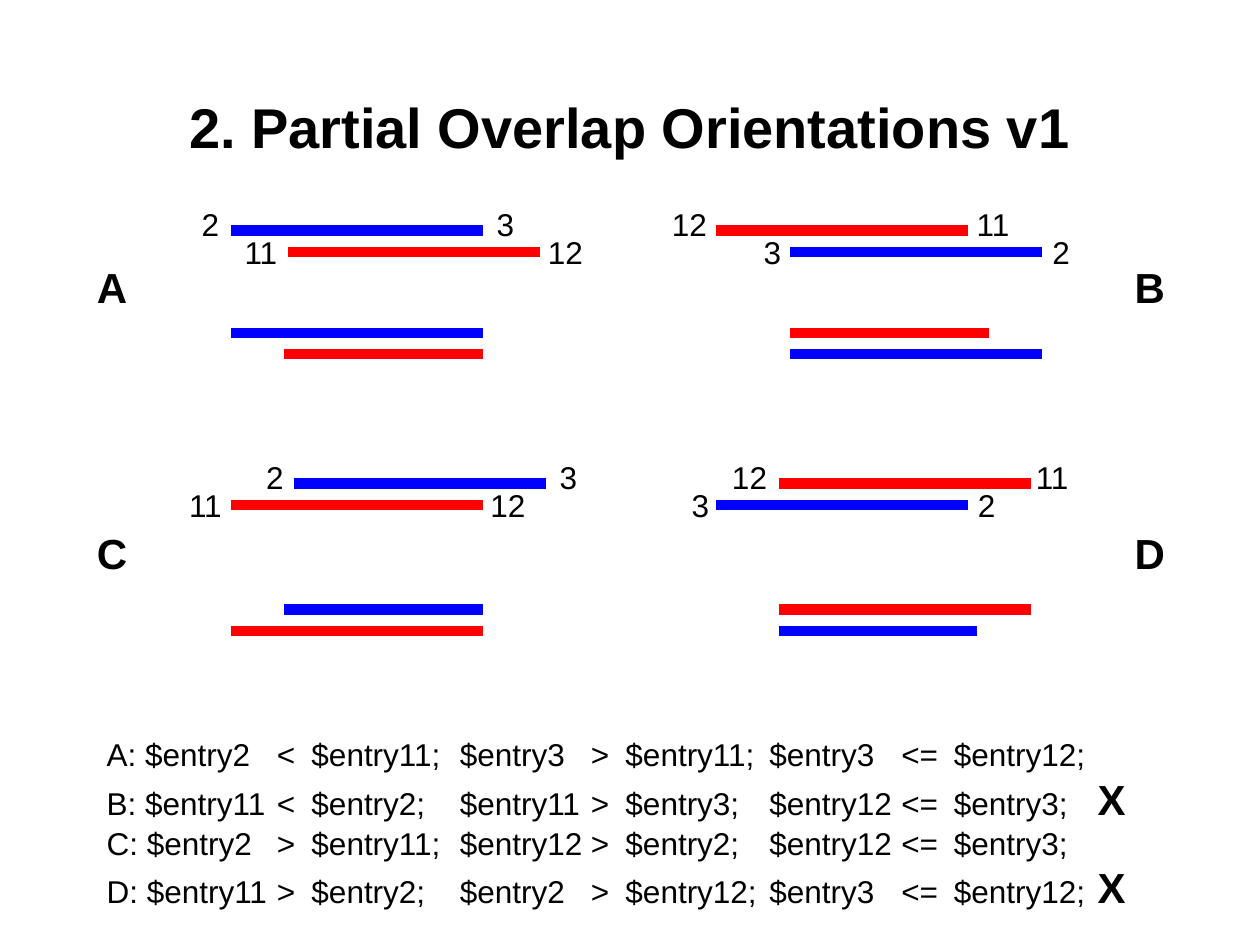
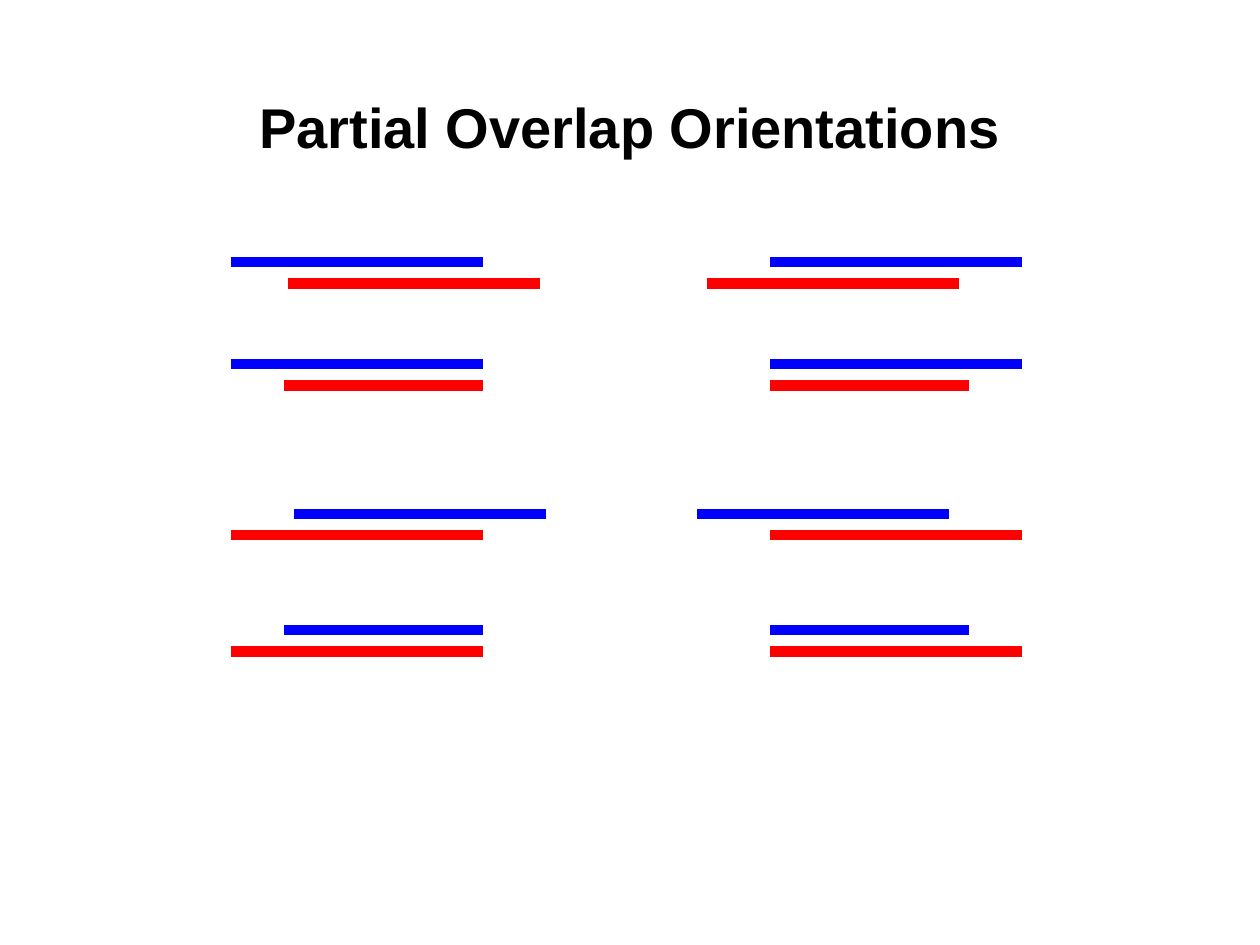
from dataclasses import dataclass

import pptx
import pptx.dml.color
import pptx.enum.shapes
import pptx.enum.text
import pptx.oxml
import pptx.oxml.ns
import pptx.util
from pptx.util import Cm, Pt


@dataclass(frozen=True)
class Theme:
    font: str = "Arial"
    text: str = "000000"
    blue: str = "0000FF"
    red: str = "FF0000"
    title: int = 32
    letter: int = 24
    body: int = 18
    bar: int = 6


T = Theme()
LONG, SHORT = 5.08, 4.0
ROW_GAP = 0.43
LABEL_SHIFTS = (-0.13, 0)
MARK = "X"

# Panel bars run top to bottom: colour, left, length, then (label, centre) pairs.
VERSION_1 = {
    "title": "2. Partial Overlap Orientations v1",
    "rows": ((4.65, 6.71), (9.75, 12.29)),
    "panels": [
        (0, ("A", 2.26, 5.79), [
            (T.blue, 4.65, LONG, [("2", 4.24), ("3", 10.19)]),
            (T.red, 5.8, LONG, [("11", 5.26), ("12", 11.4)]),
            (T.blue, 4.65, LONG, []),
            (T.red, 5.73, SHORT, [])]),
        (0, ("B", 23.18, 5.79), [
            (T.red, 14.43, LONG, [("12", 13.9), ("11", 20.02)]),
            (T.blue, 15.93, LONG, [("3", 15.57), ("2", 21.39)]),
            (T.red, 15.93, SHORT, []),
            (T.blue, 15.93, LONG, [])]),
        (1, ("C", 2.26, 11.15), [
            (T.blue, 5.93, LONG, [("2", 5.54), ("3", 11.46)]),
            (T.red, 4.65, LONG, [("11", 4.14), ("12", 10.24)]),
            (T.blue, 5.73, SHORT, []),
            (T.red, 4.65, LONG, [])]),
        (1, ("D", 23.18, 11.15), [
            (T.red, 15.7, LONG, [("12", 15.11), ("11", 21.21)]),
            (T.blue, 14.43, LONG, [("3", 14.12), ("2", 19.89)]),
            (T.red, 15.7, LONG, []),
            (T.blue, 15.7, SHORT, [])]),
    ],
}

OVERVIEW = {
    "title": "Partial Overlap Orientations",
    "rows": ((5.28, 7.34), (10.36, 12.7)),
    "panels": [
        (0, None, [
            (T.blue, 4.65, LONG, []), (T.red, 5.8, LONG, []),
            (T.blue, 4.65, LONG, []), (T.red, 5.73, SHORT, [])]),
        (0, None, [
            (T.blue, 15.53, LONG, []), (T.red, 14.26, LONG, []),
            (T.blue, 15.53, LONG, []), (T.red, 15.53, SHORT, [])]),
        (1, None, [
            (T.blue, 5.93, LONG, []), (T.red, 4.65, LONG, []),
            (T.blue, 5.73, SHORT, []), (T.red, 4.65, LONG, [])]),
        (1, None, [
            (T.blue, 14.06, LONG, []), (T.red, 15.53, LONG, []),
            (T.blue, 15.53, SHORT, []), (T.red, 15.53, LONG, [])]),
    ],
}

CONDITIONS = [
    ("A", ["2 < 11", "3 > 11", "3 <= 12"], False),
    ("B", ["11 < 2", "11 > 3", "12 <= 3"], True),
    ("C", ["2 > 11", "12 > 2", "12 <= 3"], False),
    ("D", ["11 > 2", "2 > 12", "3 <= 12"], True),
]
CONDITION_TABS = (3.43, 4.13, 7.12, 9.76, 10.46, 13.36, 16.02, 17.08, 19.98)


def style_run(r, size, bold=False):
    r.font.name = T.font
    r.font.size = Pt(size)
    r.font.bold = bold
    r.font.color.rgb = pptx.dml.color.RGBColor.from_string(T.text)


def add_title(slide, text):
    sp = slide.shapes.title
    sp.left, sp.top, sp.width, sp.height = Cm(1.9), Cm(1.7), Cm(21.6), Cm(1.7)
    tf = sp.text_frame
    tf.text = text
    tf.auto_size = pptx.enum.text.MSO_AUTO_SIZE.NONE
    tf.vertical_anchor = pptx.enum.text.MSO_ANCHOR.MIDDLE
    p = tf.paragraphs[0]
    p.alignment = pptx.enum.text.PP_ALIGN.CENTER
    style_run(p.runs[0], T.title, True)


def add_label(shapes, text, cx, cy, size, bold=False):
    w, h = 1.3, 1.02 if size == T.body else 1.27
    sp = shapes.add_textbox(Cm(cx - w / 2), Cm(cy - h / 2), Cm(w), Cm(h))
    tf = sp.text_frame
    tf.text = text
    tf.word_wrap = True
    p = tf.paragraphs[0]
    p.alignment = pptx.enum.text.PP_ALIGN.CENTER
    style_run(p.runs[0], size, bold)


def add_bar(shapes, colour, x, y, length):
    line = shapes.add_connector(pptx.enum.shapes.MSO_CONNECTOR.STRAIGHT,
                                Cm(x), Cm(y), Cm(x + length), Cm(y))
    line.line.color.rgb = pptx.dml.color.RGBColor.from_string(colour)
    line.line.width = Pt(T.bar)
    pptx.oxml.ns.qn("a:effectLst")
    line._element.spPr.append(pptx.oxml.parse_xml(
        "<a:effectLst %s/>" % pptx.oxml.ns.nsdecls("a")))


def add_panel(slide, pair_tops, letter, bars):
    shapes = slide.shapes.add_group_shape().shapes
    if letter:
        add_label(shapes, *letter, T.letter, True)
    for i, (colour, x, length, labels) in enumerate(bars):
        pair, row = divmod(i, 2)
        y = pair_tops[pair] + row * ROW_GAP
        add_bar(shapes, colour, x, y, length)
        for text, cx in labels:
            add_label(shapes, text, cx, y + LABEL_SHIFTS[row], T.body)


def set_tabs(p, stops):
    tabs = "".join('<a:tab pos="%d" algn="l"/>' % Cm(s) for s in stops)
    p._p.get_or_add_pPr().append(pptx.oxml.parse_xml(
        "<a:tabLst %s>%s</a:tabLst>" % (pptx.oxml.ns.nsdecls("a"), tabs)))


def condition_cells(condition):
    left, operator, right = condition.split()
    return ["$entry" + left, operator, "$entry" + right + ";"]


def add_conditions(slide):
    sp = slide.shapes.add_textbox(Cm(1.9), Cm(14.7), Cm(21.6), Cm(3.8))
    tf = sp.text_frame
    tf.word_wrap = True
    for i, (name, conditions, marked) in enumerate(CONDITIONS):
        p = tf.paragraphs[0] if i == 0 else tf.add_paragraph()
        set_tabs(p, CONDITION_TABS)
        cells = [cell for c in conditions for cell in condition_cells(c)]
        r = p.add_run()
        r.text = name + ": " + "\t".join(cells) + ("\t" if marked else "")
        style_run(r, T.body)
        if marked:
            r = p.add_run()
            r.text = MARK
            style_run(r, T.letter, True)


def add_overlap_slide(prs, content):
    slide = prs.slides.add_slide(prs.slide_layouts.get_by_name("Title Only"))
    add_title(slide, content["title"])
    for band, letter, bars in content["panels"]:
        add_panel(slide, content["rows"][band], letter, bars)
    return slide


prs = pptx.Presentation()
prs.slide_width, prs.slide_height = Cm(25.4), Cm(19.05)
add_conditions(add_overlap_slide(prs, VERSION_1))
add_overlap_slide(prs, OVERVIEW)
prs.save("out.pptx")
